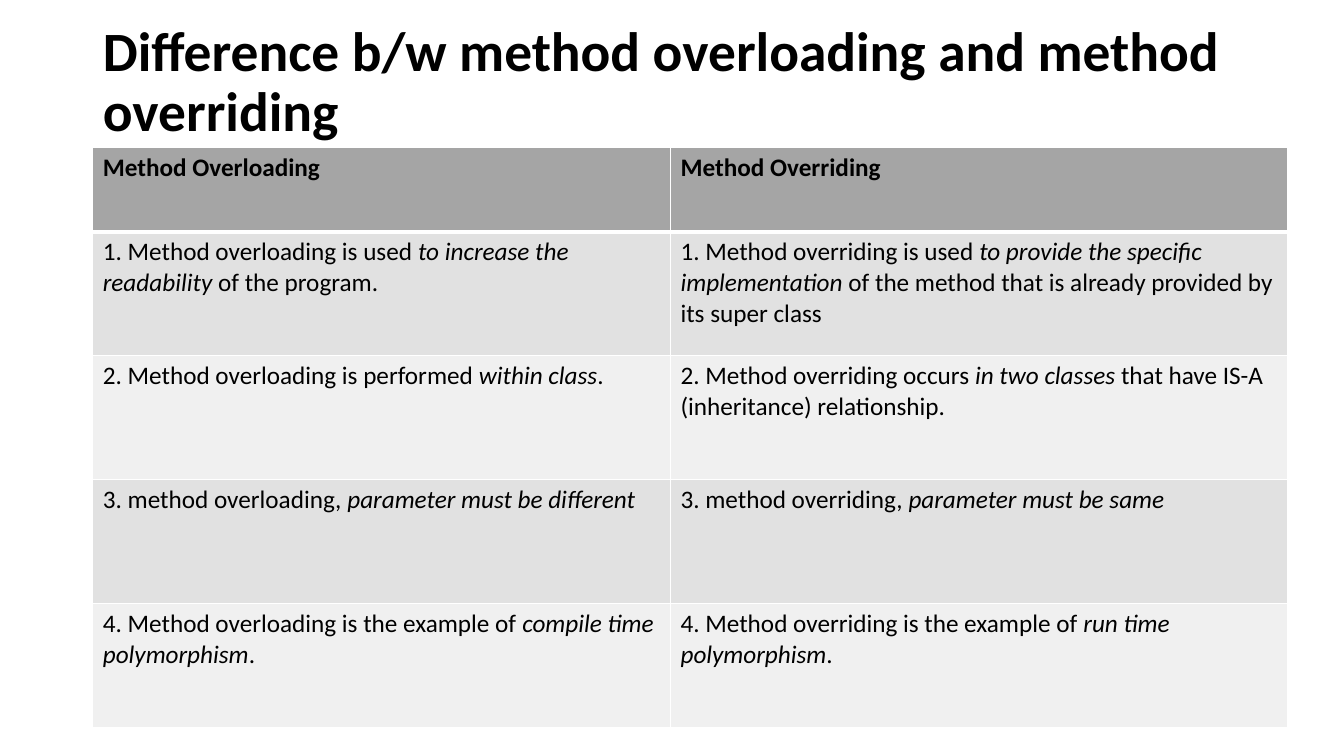
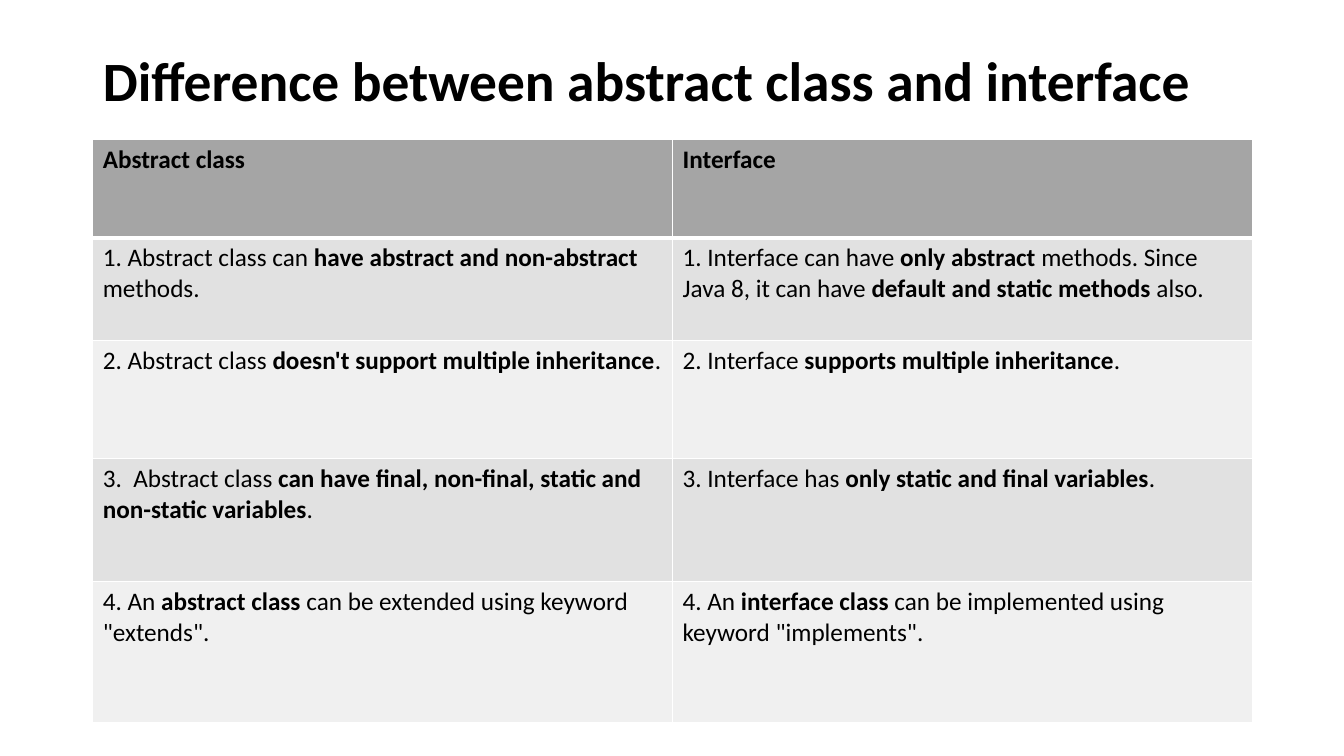
"""Build two slides that each compare a pair of Java ideas in a table."""
from dataclasses import dataclass

from lxml.etree import SubElement
from pptx import Presentation
from pptx.dml.color import RGBColor
from pptx.enum.text import MSO_ANCHOR, MSO_AUTO_SIZE, PP_ALIGN
from pptx.oxml.ns import qn
from pptx.util import Inches, Pt


@dataclass(frozen=True)
class Theme:
    font: str = "Calibri"
    ink: str = "000000"
    line: str = "FFFFFF"
    head: str = "A5A5A5"
    odd: str = "E1E1E1"
    even: str = "F0F0F0"
    title: float = 39.6
    body: float = 18
    thin: float = 1
    thick: float = 3


THEME = Theme()
LEFT = 0.92
TITLE_BOX = (LEFT, 0.4, 11.5, 1.45)
TITLE_FOOT = 0.65

SLIDES = [
    {
        "title": "Difference b/w method overloading and method overriding",
        "stress": "italic",
        "top": 1.46,
        "cols": [5.73, 6.12],
        "rows": [0.84, 1.23, 1.23, 1.23, 1.23],
        "head": ["Method Overloading", "Method Overriding"],
        "body": [
            [("1. Method overloading is used ", "to increase the readability",
              " of the program."),
             ("1. Method overriding is used ",
              "to provide the specific implementation",
              " of the method that is already provided by its super class")],
            [("2. Method overloading is performed ", "within class", "."),
             ("2. Method overriding occurs ", "in two classes",
              " that have IS-A (inheritance) relationship.")],
            [("3. method overloading, ", "parameter must be different"),
             ("3. method overriding, ", "parameter must be same")],
            [("4. Method overloading is the example of ",
              "compile time polymorphism", "."),
             ("4. Method overriding is the example of ",
              "run time polymorphism", ".")],
        ],
    },
    {
        "title": "Difference between abstract class and interface",
        "stress": "bold",
        "top": 1.38,
        "cols": [5.75, 5.75],
        "rows": [0.98, 1.02, 1.17, 1.22, 1.4],
        "head": ["Abstract class", "Interface"],
        "body": [
            [("1. Abstract class can ", "have abstract and non-abstract ",
              "methods."),
             ("1. Interface can have ", "only abstract",
              " methods. Since Java 8, it can have ",
              "default and static methods", " also.")],
            [("2. Abstract class ", "doesn't support multiple inheritance",
              "."),
             ("2. Interface ", "supports multiple inheritance", ".")],
            [("3. \u00a0Abstract class ",
              "can have final, non-final, static and non-static variables",
              "."),
             ("3. Interface has ", "only static and final variables", ".")],
            [("4. An ", "abstract class ",
              'can be extended using keyword "extends".'),
             ("4. An ", "interface class ",
              'can be implemented using keyword "implements".')],
        ],
    },
]


def add_run(para, text, size, bold=False, italic=False):
    """Add one styled run to a paragraph."""
    run = para.add_run()
    run.text = text
    font = run.font
    font.name, font.size = THEME.font, Pt(size)
    font.bold, font.italic = bold, italic
    font.color.rgb = RGBColor.from_string(THEME.ink)


def set_title(slide, text):
    """Place and fill the title."""
    shape = slide.shapes.title
    shape.left, shape.top, shape.width, shape.height = map(Inches, TITLE_BOX)
    frame = shape.text_frame
    frame.word_wrap = True
    frame.auto_size = MSO_AUTO_SIZE.NONE
    frame.vertical_anchor = MSO_ANCHOR.MIDDLE
    frame.margin_bottom = Inches(TITLE_FOOT)
    para = frame.paragraphs[0]
    para.alignment = PP_ALIGN.LEFT
    para.line_spacing = 0.9
    add_run(para, text, THEME.title, bold=True)


def set_edges(cell, row):
    """Rule a cell, with a thick line below the header."""
    thick = {0: "lnB", 1: "lnT"}.get(row)
    props = cell._tc.get_or_add_tcPr()
    for side in ("lnL", "lnR", "lnT", "lnB"):
        width = THEME.thick if side == thick else THEME.thin
        edge = SubElement(props, qn(f"a:{side}"), w=str(Pt(width)))
        fill = SubElement(edge, qn("a:solidFill"))
        SubElement(fill, qn("a:srgbClr"), val=THEME.line)


def fill_cell(cell, row, parts, stress):
    """Style a cell and stress every second part of its text."""
    set_edges(cell, row)
    shade = THEME.head if row == 0 else (THEME.even, THEME.odd)[row % 2]
    cell.fill.solid()
    cell.fill.fore_color.rgb = RGBColor.from_string(shade)
    para = cell.text_frame.paragraphs[0]
    for num, text in enumerate(parts):
        style = {stress: True} if num % 2 else {"bold": row == 0}
        add_run(para, text, THEME.body, **style)


def add_grid(slide, data):
    """Add the table of one slide."""
    cols, rows = data["cols"], data["rows"]
    box = map(Inches, (LEFT, data["top"], sum(cols), sum(rows)))
    table = slide.shapes.add_table(len(rows), len(cols), *box).table
    for col, width in zip(table.columns, cols):
        col.width = Inches(width)
    for row, height in zip(table.rows, rows):
        row.height = Inches(height)
    lines = [[(text,) for text in data["head"]]] + data["body"]
    for row, line in enumerate(lines):
        for col, parts in enumerate(line):
            fill_cell(table.cell(row, col), row, parts, data["stress"])


def main():
    """Build and save the deck."""
    deck = Presentation()
    deck.slide_width, deck.slide_height = Inches(13.33), Inches(7.5)
    for data in SLIDES:
        slide = deck.slides.add_slide(deck.slide_layouts[5])
        set_title(slide, data["title"])
        add_grid(slide, data)
    deck.save("out.pptx")


main()
